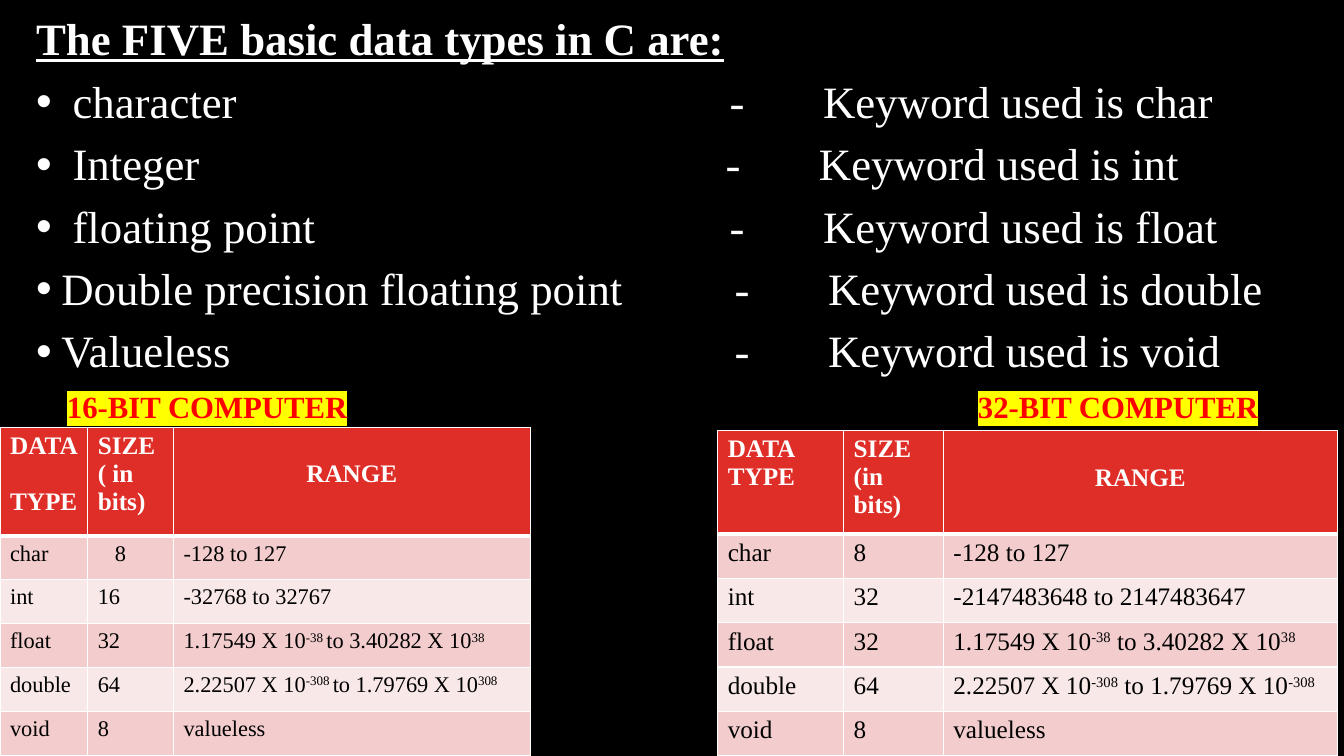
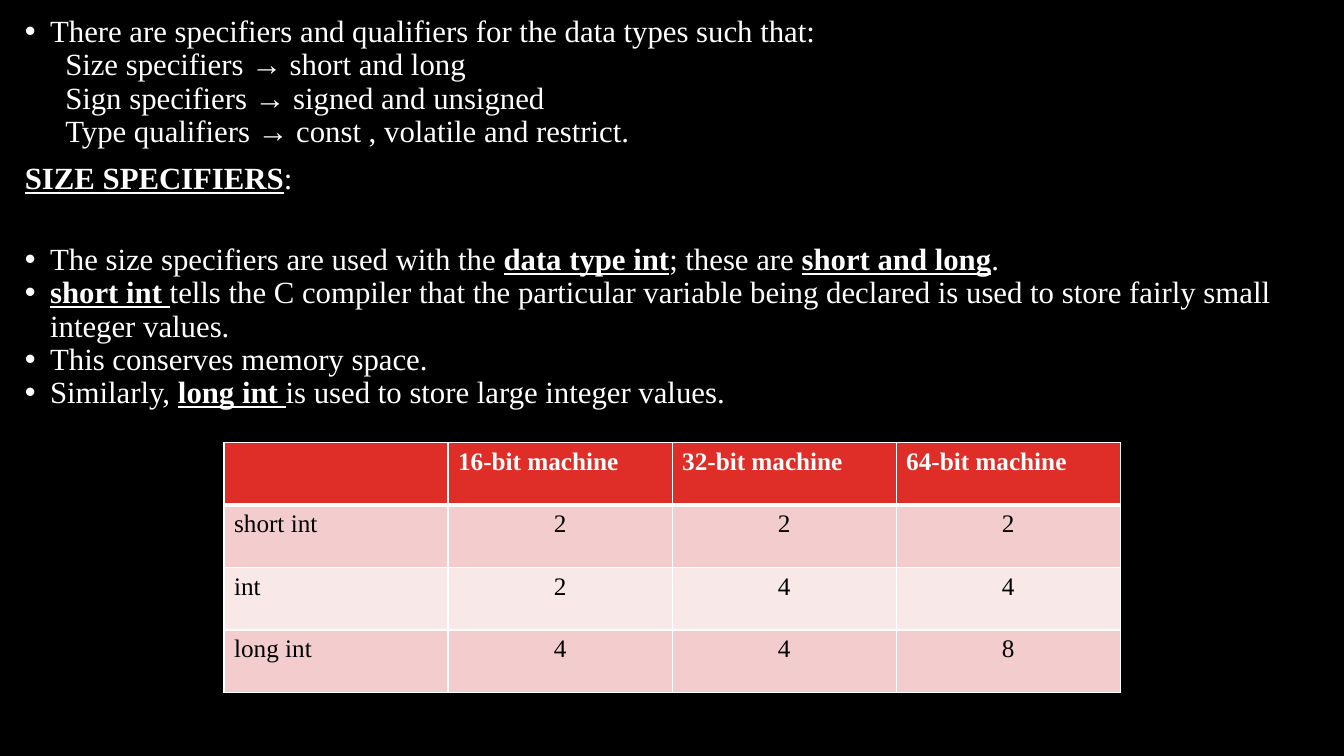
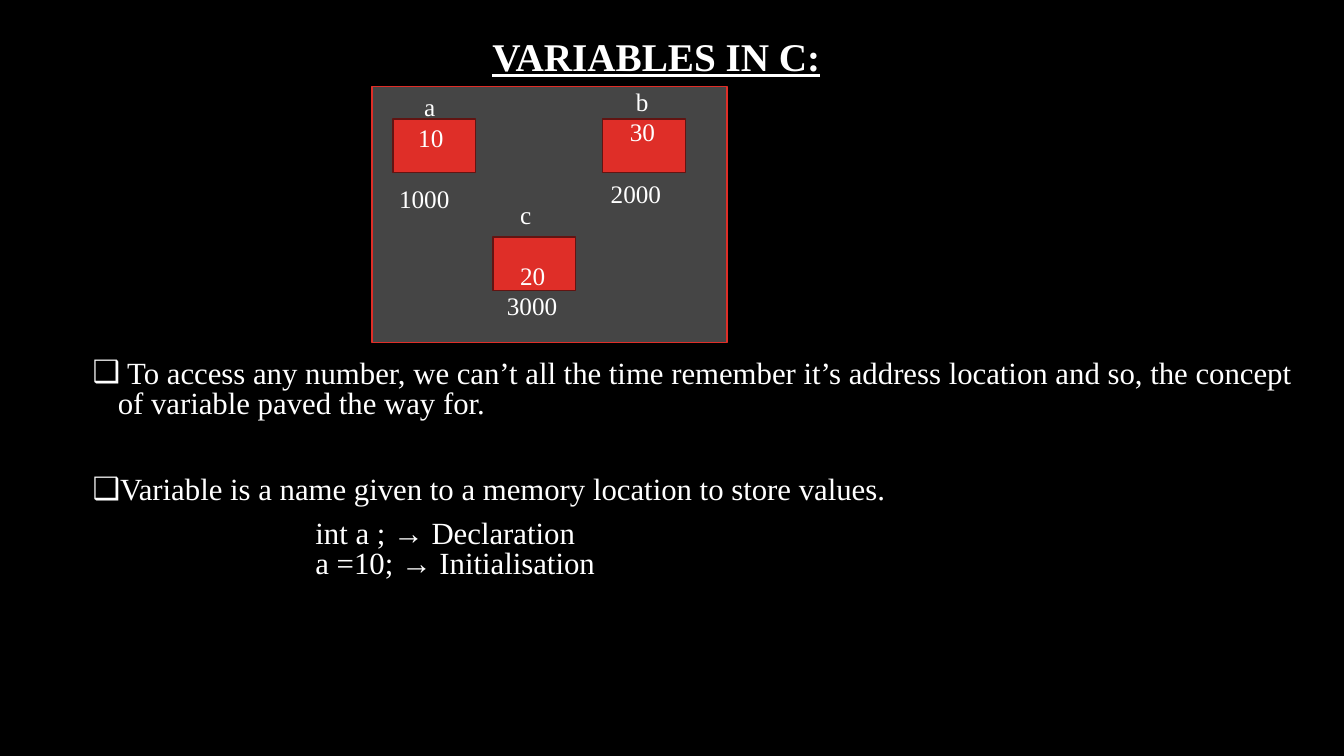
import dataclasses
import typing

import lxml.etree
import pptx
import pptx.dml.color
import pptx.enum.shapes
import pptx.enum.text
import pptx.oxml.ns
import pptx.util

SLIDE_W, SLIDE_H = 13.33, 7.5
FONT = "Times New Roman"
COLORS = {
    "black": "000000",
    "white": "FFFFFF",
    "red": "DF2E28",
    "dark_red": "621412",
    "alert": "FF0000",
    "yellow": "FFFF00",
    "panel": "454545",
    "band": "F3CDCD",
    "band_light": "F9E8E8",
}
HANG = 0.25
BODY_SIZE = 22
LABEL_SIZE = 18
LINE_GAP = 22  # one empty label line, in points
CENTER = pptx.enum.text.PP_ALIGN.CENTER
qn = pptx.oxml.ns.qn


class Box(typing.NamedTuple):
    """Place and size in percent of the slide's width and height."""
    left: float
    top: float
    width: float
    height: float


class Keyword(typing.NamedTuple):
    type_name: str
    keyword: str
    shift: float


class Line(typing.NamedTuple):
    text: str
    indent: float = HANG
    bullet: str = ""
    before: float = 0


@dataclasses.dataclass
class Grid:
    left: float
    top: float
    cols: list[float]
    header_height: float
    row_height: float
    rows: list[list[str]]
    size: int = 18
    centered: bool = False


@dataclasses.dataclass
class Variable:
    cell: tuple[float, float]
    label: tuple[float, float]
    lines: list[Line]


def across(share: float) -> int:
    return pptx.util.Inches(SLIDE_W * share / 100)


def down(share: float) -> int:
    return pptx.util.Inches(SLIDE_H * share / 100)


def place(box: Box) -> tuple[int, int, int, int]:
    return across(box.left), down(box.top), across(box.width), down(box.height)


def rgb(name: str) -> pptx.dml.color.RGBColor:
    return pptx.dml.color.RGBColor.from_string(COLORS[name])


def sub_color(parent, tag: str, name: str):
    el = lxml.etree.SubElement(parent, qn(tag))
    lxml.etree.SubElement(el, qn("a:srgbClr")).set("val", COLORS[name])
    return el


def add_text(tf, text: str, *, size=BODY_SIZE, color="white", bold=False,
             underline=False, highlight="", marked="strong", align=None,
             spacing=None, before=0, indent=0.0, bullet="") -> None:
    """Add a paragraph; parts between bars are strong or raised, as marked says."""
    p = tf.paragraphs[0]
    if p.runs:
        p = tf.add_paragraph()
    p.alignment = align
    p.line_spacing = spacing
    p.space_before = pptx.util.Pt(before)
    pPr = p._p.get_or_add_pPr()
    pPr.set("marL", str(pptx.util.Inches(indent)))
    pPr.set("indent", str(pptx.util.Inches(-HANG if bullet else 0)))
    if bullet:
        lxml.etree.SubElement(pPr, qn("a:buFont")).set("typeface", "Arial")
        lxml.etree.SubElement(pPr, qn("a:buChar")).set("char", bullet)
    else:
        lxml.etree.SubElement(pPr, qn("a:buNone"))
    for i, part in enumerate(text.split("|")):
        if not part:
            continue
        is_marked = i % 2 == 1
        strong = is_marked and marked == "strong"
        r = p.add_run()
        r.text = part
        r.font.size = pptx.util.Pt(size)
        r.font.bold = bold or strong
        r.font.underline = underline or strong
        r.font.color.rgb = rgb(color)
        rPr = r.font._element
        if highlight:
            mark = sub_color(rPr, "a:highlight", highlight)
            rPr.find(qn("a:solidFill")).addnext(mark)
        if is_marked and marked == "raised":
            rPr.set("baseline", "30000")
        r.font.name = FONT


def add_frame(slide, box: Box):
    tf = slide.shapes.add_textbox(*place(box)).text_frame
    tf.word_wrap = True
    return tf


def add_rect(slide, box: Box, fill: str, line: str) -> None:
    sp = slide.shapes.add_shape(pptx.enum.shapes.MSO_SHAPE.RECTANGLE, *place(box))
    sp.shadow.inherit = False
    sp.fill.solid()
    sp.fill.fore_color.rgb = rgb(fill)
    sp.line.color.rgb = rgb(line)
    sp.line.width = pptx.util.Pt(1)


def set_borders(cell, row: int) -> None:
    """White cell borders, with a thick rule under the header row."""
    tcPr = cell._tc.get_or_add_tcPr()
    widths = {"L": 1, "R": 1, "T": 3 if row == 1 else 1, "B": 3 if row == 0 else 1}
    for i, (side, width) in enumerate(widths.items()):
        ln = lxml.etree.Element(qn(f"a:ln{side}"))
        ln.set("w", str(pptx.util.Pt(width)))
        sub_color(ln, "a:solidFill", "white")
        tcPr.insert(i, ln)


def add_grid(slide, grid: Grid):
    heights = [grid.header_height] + [grid.row_height] * (len(grid.rows) - 1)
    box = Box(grid.left, grid.top, sum(grid.cols), sum(heights))
    table = slide.shapes.add_table(len(heights), len(grid.cols), *place(box)).table
    for col, width in zip(table.columns, grid.cols):
        col.width = across(width)
    for r, (height, texts) in enumerate(zip(heights, grid.rows)):
        table.rows[r].height = down(height)
        fill = "red" if r == 0 else "band" if r % 2 else "band_light"
        for c, text in enumerate(texts):
            cell = table.cell(r, c)
            cell.fill.solid()
            cell.fill.fore_color.rgb = rgb(fill)
            set_borders(cell, r)
            middle = text == "RANGE" or (grid.centered and r > 0 and c > 0)
            if text == "RANGE":
                cell.margin_top = pptx.util.Inches(0.33)
            for line in text.split("\n"):
                add_text(cell.text_frame, line, size=18 if r == 0 else grid.size,
                         color="white" if r == 0 else "black", bold=r == 0,
                         marked="raised", align=CENTER if middle else None)
    return table


KEYWORDS = [
    Keyword(" character", "char", 0.04),
    Keyword(" Integer", "int", 0),
    Keyword(" floating point", "float", 0.04),
    Keyword("Double precision floating point", "double", 0.09),
    Keyword("Valueless", "void", 0.09),
]
RANGES_16 = Grid(0, 56.5, [6.53, 6.38, 26.55], 14.4, 5.81, [
    ["DATA\nTYPE", "SIZE\n( in bits)", "RANGE"],
    ["char", "8", "-128 to 127"],
    ["int", "16", "-32768 to 32767"],
    ["float", "32", "1.17549 X 10|-38 |to 3.40282 X 10|38|"],
    ["double", "64", "2.22507 X 10|-308 |to 1.79769 X 10|308|"],
    ["void", "8", "valueless"],
], size=16)
RANGES_32 = Grid(53.4, 56.93, [9.37, 7.42, 29.32], 13.7, 5.87, [
    ["DATA\nTYPE", "SIZE\n(in\nbits)", "RANGE"],
    ["char", "8", "-128 to 127"],
    ["int", "32", "-2147483648 to 2147483647"],
    ["float", "32", "1.17549 X 10|-38| to 3.40282 X 10|38|"],
    ["double", "64", "2.22507 X 10|-308| to 1.79769 X 10|-308|"],
    ["void", "8", "valueless"],
])
INT_SIZES = Grid(16.67, 58.53, [16.67] * 4, 8.27, 8.27, [
    ["", "16-bit machine", "32-bit machine", "64-bit machine"],
    ["short int", "2", "2", "2"],
    ["int", "2", "4", "4"],
    ["long int", "4", "4", "8"],
], centered=True)
SPECIFIERS = [
    Line("There are specifiers and qualifiers for the data types such that:", bullet="•"),
    Line("Size specifiers → short and long", 0.4),
    Line("Sign specifiers → signed and unsigned", 0.4),
    Line("Type qualifiers → const , volatile and restrict.", 0.4),
    Line("|SIZE SPECIFIERS|:", 0, before=10),
    Line("The size specifiers are used with the |data type int|; "
         "these are |short and long|.", bullet="•", before=34),
    Line("|short int |tells the C compiler that the particular variable being declared "
         "is used to store fairly small integer values.", bullet="•"),
    Line("This conserves memory space.", bullet="•"),
    Line("Similarly, |long int |is used to store large integer values.", bullet="•"),
]
VARIABLE_NOTES = [
    Line(" To access any number, we can’t all the time remember it’s address location "
         "and so, the concept of variable paved the way for.", bullet="❑"),
    Line("Variable is a name given to a memory location to store values.",
         bullet="❑", before=41),
    Line("int a ; → Declaration", 2.21, before=10),
    Line("a =10; → Initialisation", 2.21),
]
VARIABLES = [
    Variable((29.25, 15.73), (28.95, 11.47),
             [Line("a"), Line("10", 0.19), Line("1000", 0, before=LINE_GAP)]),
    Variable((44.85, 15.73), (44.7, 10.8),
             [Line("b"), Line("30", 0.19), Line("2000", 0, before=LINE_GAP)]),
    Variable((36.68, 31.33), (36.53, 25.73),
             [Line("c", 0.19), Line("20", 0.19, before=LINE_GAP), Line("3000", 0.06)]),
]


def add_lines(slide, box: Box, lines: list[Line], **style) -> None:
    tf = add_frame(slide, box)
    for line in lines:
        add_text(tf, line.text, indent=line.indent, bullet=line.bullet,
                 before=line.before, **style)


def build_data_types(slide) -> None:
    style = {"size": 32, "spacing": 0.9}
    names = add_frame(slide, Box(1.95, 1.6, 54, 49))
    add_text(names, "The FIVE basic data types in C are:", bold=True,
             underline=True, **style)
    dashes = add_frame(slide, Box(53.25, 9.87, 4.5, 42))
    keywords = add_frame(slide, Box(60.2, 9.87, 38, 42))
    for row in KEYWORDS:
        add_text(names, row.type_name, bullet="•", indent=HANG, before=10, **style)
        add_text(dashes, "-", indent=row.shift, before=10, **style)
        add_text(keywords, f"Keyword used is {row.keyword}", indent=row.shift,
                 before=10, **style)
    for left, bits in ((4.24, 16), (72.02, 32)):
        add_text(add_frame(slide, Box(left, 50.67, 26, 5.7)), f"{bits}-BIT COMPUTER",
                 color="alert", bold=True, highlight="yellow")
    table = add_grid(slide, RANGES_16)
    type_header = table.cell(0, 0)
    type_header.margin_right = 0
    type_header.text_frame.paragraphs[1].space_before = pptx.util.Pt(20)
    table.cell(1, 1).margin_left = pptx.util.Inches(0.27)
    add_grid(slide, RANGES_32)


def build_specifiers(slide) -> None:
    add_lines(slide, Box(1.12, 1.47, 97.73, 57), SPECIFIERS, spacing=0.9)
    add_grid(slide, INT_SIZES)


def build_variables(slide) -> None:
    title = add_frame(slide, Box(6.15, 4.13, 85.36, 7.2))
    title.vertical_anchor = pptx.enum.text.MSO_ANCHOR.MIDDLE
    add_text(title, "VARIABLES IN C:", size=28, bold=True, underline=True,
             align=CENTER, spacing=0.9)
    add_lines(slide, Box(6.15, 47.07, 90.83, 33), VARIABLE_NOTES, spacing=0.8)
    add_rect(slide, Box(27.68, 11.47, 26.4, 33.87), "panel", "red")
    for var in VARIABLES:
        add_rect(slide, Box(*var.cell, 6.15, 7.07), "red", "dark_red")
        add_lines(slide, Box(*var.label, 6.53, 17.47), var.lines, size=LABEL_SIZE)


def main() -> None:
    prs = pptx.Presentation()
    prs.slide_width = pptx.util.Inches(SLIDE_W)
    prs.slide_height = pptx.util.Inches(SLIDE_H)
    backdrop = prs.slide_master.background.fill
    backdrop.solid()
    backdrop.fore_color.rgb = rgb("black")
    for build in (build_data_types, build_specifiers, build_variables):
        build(prs.slides.add_slide(prs.slide_layouts[6]))
    prs.save("out.pptx")


if __name__ == "__main__":
    main()
